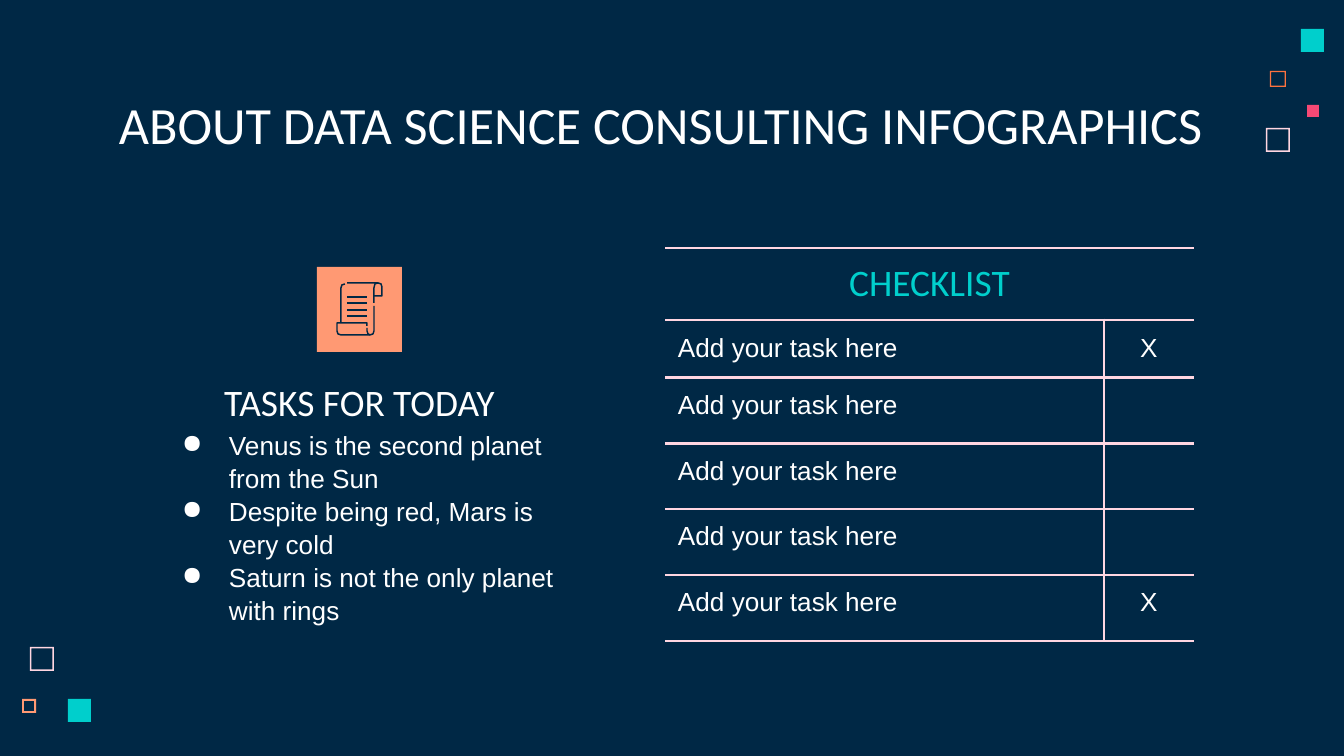
from dataclasses import dataclass

from lxml.etree import SubElement
from pptx import Presentation
from pptx.dml.color import RGBColor
from pptx.enum.shapes import MSO_SHAPE as SHAPE
from pptx.enum.text import MSO_ANCHOR as ANCHOR, PP_ALIGN as ALIGN
from pptx.oxml.ns import qn
from pptx.util import Emu, Pt

SCALE = 914400 / 134.4


@dataclass(frozen=True)
class Theme:
    navy: str = "002845"
    white: str = "FFFFFF"
    teal: str = "00CFCC"
    blush: str = "FFD6E1"
    orange: str = "FC723F"
    peach: str = "FF9973"
    rose: str = "F64975"
    head_font: str = "Calibri"
    body_font: str = "Arial"
    title: int = 28
    heading: int = 20
    body: int = 14
    rule: float = 1.5
    icon_line: float = 0.8
    inset: int = 13


T = Theme()
HEADING = dict(font=T.head_font, size=T.heading, align=ALIGN.CENTER)


def px(n):
    return Emu(round(n * SCALE))


def rgb(color):
    return RGBColor.from_string(color)


def write(tf, *lines, font=T.body_font, size=T.body, color=T.white,
          align=ALIGN.LEFT, spacing=None, bullet=None):
    for i, line in enumerate(lines):
        p = tf.add_paragraph() if i else tf.paragraphs[0]
        p.alignment = align
        p.line_spacing = spacing
        if bullet:
            pPr = p._p.get_or_add_pPr()
            pPr.set("marL", str(px(67)))
            pPr.set("indent", str(px(-47)))
            SubElement(pPr, qn("a:buChar"), char=bullet)
        r = p.add_run()
        r.text = line
        r.font.name = font
        r.font.size = Pt(size)
        r.font.color.rgb = rgb(color)


def set_insets(obj):
    obj.margin_left = obj.margin_right = px(T.inset)
    obj.margin_top = obj.margin_bottom = px(T.inset)


def add_text(s, box, *lines, anchor=ANCHOR.TOP, **fmt):
    tf = s.shapes.add_textbox(*map(px, box)).text_frame
    tf.word_wrap = True
    tf.vertical_anchor = anchor
    set_insets(tf)
    write(tf, *lines, **fmt)


def add_square(s, x, y, size, color, border=0):
    kind = SHAPE.FRAME if border else SHAPE.RECTANGLE
    sp = s.shapes.add_shape(kind, px(x), px(y), px(size), px(size))
    if border:
        sp.adjustments[0] = border / size
    sp.shadow.inherit = False
    sp.fill.solid()
    sp.fill.fore_color.rgb = rgb(color)
    sp.line.fill.background()


def add_stroke(s, *points):
    builder = s.shapes.build_freeform(*points[0], scale=SCALE)
    builder.add_line_segments(points[1:], close=False)
    sp = builder.convert_to_shape()
    sp.shadow.inherit = False
    sp.fill.background()
    sp.line.color.rgb = rgb(T.navy)
    sp.line.width = Pt(T.icon_line)


def add_scroll_icon(s):
    add_square(s, 317, 267, 85, T.peach)
    add_stroke(s, (345, 284), (342, 285), (341, 288), (341, 323))
    add_stroke(s, (367, 326), (367, 323), (337, 323), (337, 331), (338, 334),
               (341, 335), (370, 335), (373, 334), (374, 331), (374, 306))
    add_stroke(s, (367, 328), (367, 331), (368, 334), (370, 335))
    add_stroke(s, (347, 283), (378, 283), (381, 284), (382, 287), (382, 296),
               (374, 296))
    add_stroke(s, (374, 303), (374, 288), (375, 284), (378, 283))
    for i in range(4):
        y = 297 + 6.4 * i
        add_stroke(s, (347, y), (367, y))


def set_borders(cell, sides):
    tcPr = cell._tc.get_or_add_tcPr()
    for i, side in enumerate("LRTB"):
        ln = SubElement(tcPr, qn(f"a:ln{side}"), w=str(Pt(T.rule)))
        if side in sides:
            fill = SubElement(ln, qn("a:solidFill"))
            SubElement(fill, qn("a:srgbClr"), val=T.blush)
        else:
            SubElement(ln, qn("a:noFill"))


def format_cell(cell, text, sides, anchor=ANCHOR.TOP, **fmt):
    set_insets(cell)
    cell.vertical_anchor = anchor
    if text:
        write(cell.text_frame, text, **fmt)
    else:
        SubElement(cell.text_frame.paragraphs[0]._p, qn("a:endParaRPr"),
                   sz=str(T.body * 100))
    set_borders(cell, sides)
    cell.fill.background()


def add_checklist(s, x, y, title, tasks):
    widths = [439, 90]
    heights = [72, 56] + [66] * (len(tasks) - 1)
    frame = s.shapes.add_table(len(heights), 2, px(x), px(y),
                               px(sum(widths)), px(sum(heights)))
    table = frame.table
    table.first_row = table.horz_banding = False
    for col, width in zip(table.columns, widths):
        col.width = px(width)
    for row, height in zip(table.rows, heights):
        row.height = px(height)
    table.cell(0, 0).merge(table.cell(0, 1))
    format_cell(table.cell(0, 0), title, "TB", ANCHOR.MIDDLE,
                color=T.teal, **HEADING)
    format_cell(table.cell(0, 1), "", "TB")
    for i, (task, mark) in enumerate(tasks, 1):
        anchor = ANCHOR.MIDDLE if i == 1 else ANCHOR.TOP
        format_cell(table.cell(i, 0), task, "RTB", anchor)
        format_cell(table.cell(i, 1), mark, "LTB", anchor, align=ALIGN.CENTER)


def main():
    prs = Presentation()
    prs.slide_width, prs.slide_height = px(1344), px(756)
    s = prs.slides.add_slide(prs.slide_layouts[6])
    s.background.fill.solid()
    s.background.fill.fore_color.rgb = rgb(T.navy)

    for square in [
        (1266, 128, 24, T.blush, 1.5),
        (1270, 71, 16, T.orange, 1.2),
        (1301, 29, 23, T.teal),
        (22, 699, 14, T.peach, 1.8),
        (1307, 105, 12, T.rose),
        (30, 647, 24, T.blush, 1.5),
        (68, 699, 23, T.teal),
    ]:
        add_square(s, *square)

    add_text(s, (106, 79, 1133, 85),
             "ABOUT DATA SCIENCE CONSULTING INFOGRAPHICS",
             font=T.head_font, size=T.title)
    marks = ["X", "", "", "", "X"]
    add_checklist(s, 665, 248, "CHECKLIST",
                  [("Add your task here", mark) for mark in marks])
    add_text(s, (149, 370, 421, 67), "TASKS FOR TODAY",
             anchor=ANCHOR.BOTTOM, **HEADING)
    add_text(s, (149, 415, 421, 195),
             "Venus is the second planet from the Sun",
             "Despite being red, Mars is very cold",
             "Saturn is not the only planet with rings",
             bullet="●", spacing=1.05)
    add_scroll_icon(s)
    prs.save("out.pptx")


if __name__ == "__main__":
    main()
